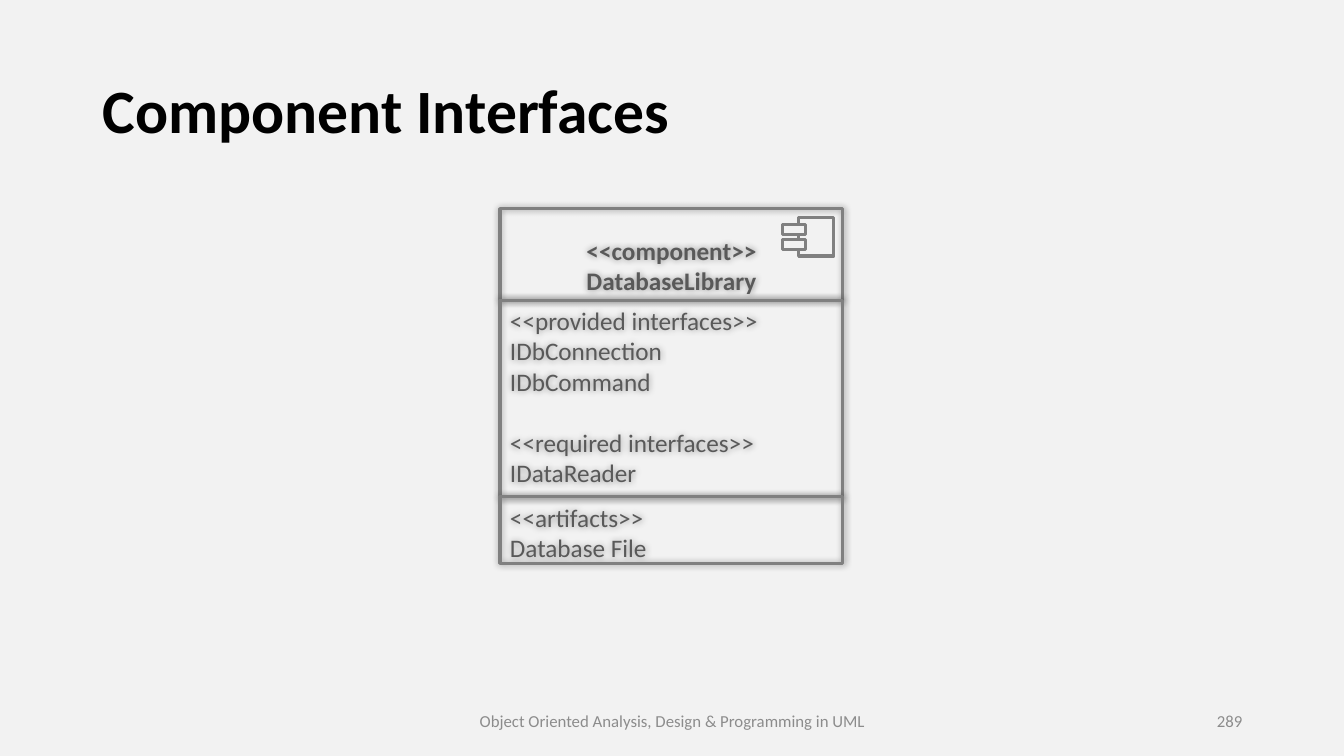
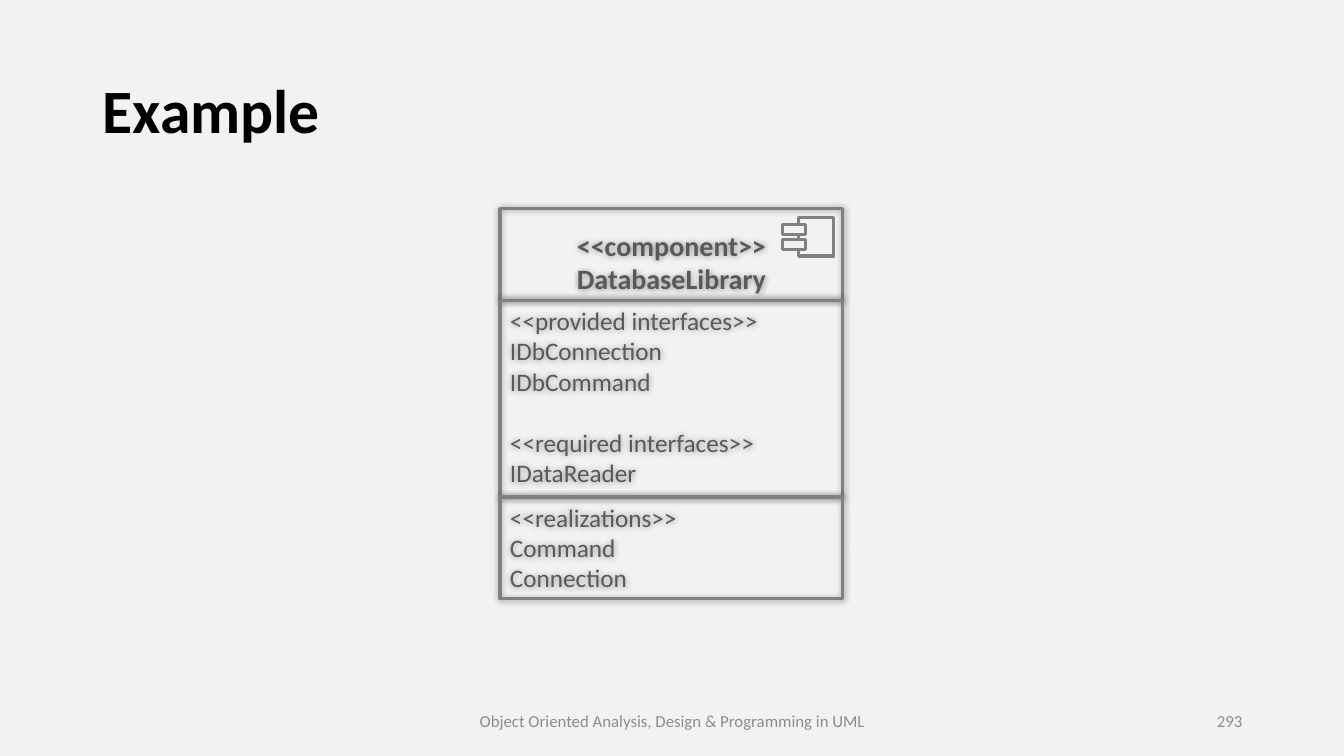
"""Build two slides that show UML component boxes with their interfaces."""
from dataclasses import dataclass

from lxml.etree import SubElement
from pptx import Presentation
from pptx.dml.color import RGBColor
from pptx.enum.shapes import MSO_SHAPE
from pptx.enum.text import MSO_ANCHOR, MSO_AUTO_SIZE, PP_ALIGN
from pptx.oxml.ns import qn
from pptx.shapes.autoshape import Shape
from pptx.slide import Slide
from pptx.text.text import Font
from pptx.util import Inches, Pt

FONT = "Calibri"
BACKGROUND = RGBColor(0xF2, 0xF2, 0xF2)
BLACK = RGBColor(0x00, 0x00, 0x00)
OUTLINE = RGBColor(0x80, 0x80, 0x80)
BODY_TEXT = RGBColor(0x59, 0x59, 0x59)
FOOTER_TEXT = RGBColor(0x8C, 0x8C, 0x8C)

FOOTER = "Object Oriented Analysis, Design & Programming in UML"
BOX_LEFT, BOX_TOP, BOX_WIDTH = 4.96, 2.07, 3.4
TEXT_SIZE = 18
GROUP_GAP = Pt(22)


@dataclass(frozen=True)
class Compartment:
    """One section of a component box, with its lines in groups."""
    height: float
    groups: tuple[tuple[str, ...], ...]
    size: int = TEXT_SIZE
    header: bool = False


@dataclass(frozen=True)
class ComponentSlide:
    """Content of one slide."""
    title: str
    number: int
    header_size: int
    last: Compartment


INTERFACES = Compartment(1.95, (
    ("<<provided interfaces>>", "IDbConnection", "IDbCommand"),
    ("<<required interfaces>>", "IDataReader"),
))

SLIDES = (
    ComponentSlide("Component Interfaces", 289, 18,
                   Compartment(0.66, (("<<artifacts>>", "Database File"),))),
    ComponentSlide("Example", 293, 20,
                   Compartment(1.01, (("<<realizations>>", "Command", "Connection"),))),
)


def style_font(font: Font, size: float, color: RGBColor, bold: bool = False) -> None:
    """Apply the shared typeface with a size, colour and weight."""
    font.name, font.size, font.bold = FONT, Pt(size), bold
    font.color.rgb = color


def add_glow(sp: Shape) -> None:
    """Give a shape a soft centred shadow."""
    effects = sp._element.spPr.find(qn("a:effectLst"))
    shadow = SubElement(effects, qn("a:outerShdw"), blurRad=str(Pt(5)), dist="0",
                        dir="0", algn="ctr", rotWithShape="0")
    color = SubElement(shadow, qn("a:srgbClr"), val=str(BLACK))
    SubElement(color, qn("a:alpha"), val="40000")


def add_box(s: Slide, left: float, top: float, width: float, height: float,
            filled: bool = False) -> Shape:
    """Add an outlined rectangle, hollow or in the background colour."""
    sp = s.shapes.add_shape(MSO_SHAPE.RECTANGLE, Inches(left), Inches(top),
                            Inches(width), Inches(height))
    sp.shadow.inherit = False
    if filled:
        sp.fill.solid()
        sp.fill.fore_color.rgb = BACKGROUND
    else:
        sp.fill.background()
    sp.line.color.rgb = OUTLINE
    sp.line.width = Pt(2.25)
    return sp


def add_footer(s: Slide, left: float, width: float, align: PP_ALIGN, text: str) -> None:
    """Add a line of footer text."""
    tf = s.shapes.add_textbox(Inches(left), Inches(6.95), Inches(width),
                              Inches(0.4)).text_frame
    tf.word_wrap = True
    tf.vertical_anchor = MSO_ANCHOR.MIDDLE
    tf.text = text
    p = tf.paragraphs[0]
    p.alignment = align
    style_font(p.runs[0].font, 12, FOOTER_TEXT)


def add_title(s: Slide, text: str) -> None:
    """Place and format the title placeholder."""
    sp = s.shapes.title
    sp.left, sp.top, sp.width, sp.height = map(Inches, (0.92, 0.4, 11.5, 1.45))
    tf = sp.text_frame
    tf.text = text
    tf.auto_size = MSO_AUTO_SIZE.NONE
    tf.vertical_anchor = MSO_ANCHOR.MIDDLE
    p = tf.paragraphs[0]
    p.alignment = PP_ALIGN.LEFT
    p.line_spacing = 0.9
    style_font(p.runs[0].font, 44, BLACK, True)


def add_compartment(s: Slide, top: float, part: Compartment) -> None:
    """Draw one compartment, with a gap ahead of each later group."""
    sp = add_box(s, BOX_LEFT, top, BOX_WIDTH, part.height)
    add_glow(sp)
    tf = sp.text_frame
    tf.word_wrap = True
    tf.vertical_anchor = MSO_ANCHOR.BOTTOM if part.header else MSO_ANCHOR.TOP
    tf.text = "\n".join(line for group in part.groups for line in group)
    for p in tf.paragraphs:
        p.alignment = PP_ALIGN.CENTER if part.header else PP_ALIGN.LEFT
        style_font(p.runs[0].font, part.size, BODY_TEXT, part.header)
    start = 0
    for group in part.groups[:-1]:
        start += len(group)
        tf.paragraphs[start].space_before = GROUP_GAP


def add_component_icon(s: Slide) -> None:
    """Draw the UML component symbol."""
    add_box(s, 7.92, 2.16, 0.35, 0.38)
    for top in (2.23, 2.38):
        add_box(s, 7.76, top, 0.23, 0.1, filled=True)


def add_component(s: Slide, content: ComponentSlide) -> None:
    """Stack the compartments of a component and add its symbol."""
    header = Compartment(0.91, (("<<component>>", "DatabaseLibrary"),),
                         content.header_size, header=True)
    top = BOX_TOP
    for part in (header, INTERFACES, content.last):
        add_compartment(s, top, part)
        top += part.height
    add_component_icon(s)


def main() -> None:
    """Build and save the presentation."""
    prs = Presentation()
    prs.slide_width, prs.slide_height = Inches(13.33), Inches(7.5)
    fill = prs.slide_master.background.fill
    fill.solid()
    fill.fore_color.rgb = BACKGROUND
    for content in SLIDES:
        s = prs.slides.add_slide(prs.slide_layouts.get_by_name("Title Only"))
        add_title(s, content.title)
        add_footer(s, 4.42, 4.5, PP_ALIGN.CENTER, FOOTER)
        add_footer(s, 9.42, 3, PP_ALIGN.RIGHT, str(content.number))
        add_component(s, content)
    prs.save("out.pptx")


if __name__ == "__main__":
    main()
